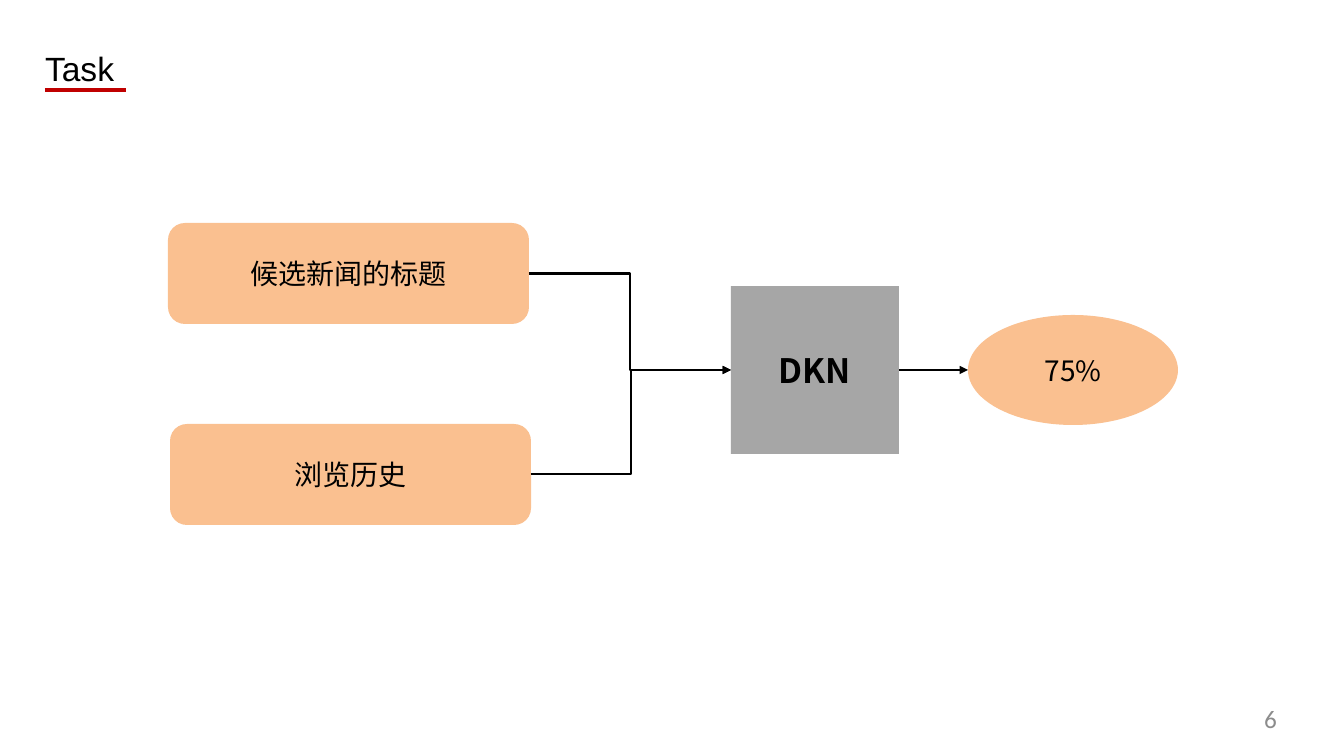
from lxml import etree
from pptx import Presentation
from pptx.dml.color import RGBColor
from pptx.enum.shapes import MSO_CONNECTOR, MSO_SHAPE
from pptx.enum.text import MSO_ANCHOR, PP_ALIGN
from pptx.oxml.ns import qn
from pptx.util import Emu, Pt

ELBOW, STRAIGHT = MSO_CONNECTOR.ELBOW, MSO_CONNECTOR.STRAIGHT
RECTANGLE, ROUNDED, OVAL = MSO_SHAPE.RECTANGLE, MSO_SHAPE.ROUNDED_RECTANGLE, MSO_SHAPE.OVAL
LEFT, CENTER, RIGHT = PP_ALIGN.LEFT, PP_ALIGN.CENTER, PP_ALIGN.RIGHT
TOP, MIDDLE = MSO_ANCHOR.TOP, MSO_ANCHOR.MIDDLE

EMU_PER_PX = 914400 / 100.8
LEFT_SITE, RIGHT_SITE = 1, 3
ORANGE, GRAY, BLACK, RED = "FAC090", "A6A6A6", "000000", "C00000"
DIAGRAM_FONT = "Noto Sans CJK SC"


def px(length):
    return Emu(round(length * EMU_PER_PX))


def color(hex_value):
    return RGBColor.from_string(hex_value)


def write(shape, text, size, font, text_color=BLACK, bold=False, align=CENTER, anchor=MIDDLE):
    frame = shape.text_frame
    frame.word_wrap = True
    frame.vertical_anchor = anchor
    frame.text = text
    paragraph = frame.paragraphs[0]
    paragraph.alignment = align
    paragraph.font.name = font
    paragraph.font.size = Pt(size)
    paragraph.font.bold = bold
    paragraph.font.color.rgb = color(text_color)
    # Chinese characters take their typeface from the run's a:ea element
    run_properties = paragraph.runs[0]._r.get_or_add_rPr()
    etree.SubElement(run_properties, qn("a:ea"), typeface=font)
    return paragraph


def clear_margins(frame):
    frame.margin_left = frame.margin_top = frame.margin_right = frame.margin_bottom = 0


def add_node(slide, preset, box, fill, text, size=20, bold=False):
    node = slide.shapes.add_shape(preset, *map(px, box))
    node.shadow.inherit = False
    node.fill.solid()
    node.fill.fore_color.rgb = color(fill)
    node.line.fill.background()
    write(node, text, size, DIAGRAM_FONT, bold=bold)
    return node


def add_line(slide, kind, start, end, line_color=BLACK, width=1.5, arrow=False):
    line = slide.shapes.add_connector(kind, *map(px, start + end))
    line.line.color.rgb = color(line_color)
    line.line.width = Pt(width)
    if arrow:
        etree.SubElement(line.line._get_or_add_ln(), qn("a:tailEnd"), type="triangle")
    etree.SubElement(line._element.spPr, qn("a:effectLst"))
    return line


def add_title(slide, text):
    title = slide.shapes.title
    title.left, title.top, title.width, title.height = map(px, (45, 47, 81, 43))
    clear_margins(title.text_frame)
    title.text_frame.margin_top = px(1)
    heading = write(title, text, 24, "Arial", align=LEFT, anchor=TOP)
    heading.space_before = Pt(1)
    add_line(slide, STRAIGHT, (45, 90), (126, 90), RED, 2.25)


def add_page_number(slide, number):
    page = slide.shapes.add_textbox(*map(px, (968, 703, 309, 38)))
    clear_margins(page.text_frame)
    write(page, number, 18, "Calibri", "8C8C8C", align=RIGHT, anchor=TOP)


def add_diagram(slide):
    model = add_node(slide, RECTANGLE, (731, 286, 168, 168), GRAY, "DKN", 24, bold=True)
    candidate = add_node(slide, ROUNDED, (168, 223, 361, 101), ORANGE, "候选新闻的标题")
    history = add_node(slide, ROUNDED, (170, 424, 361, 101), ORANGE, "浏览历史")
    add_node(slide, OVAL, (968, 315, 210, 110), ORANGE, "75%")

    for source, start in ((candidate, (529, 273)), (history, (531, 475))):
        flow = add_line(slide, ELBOW, start, (731, 370), arrow=True)
        flow.begin_connect(source, RIGHT_SITE)
        flow.end_connect(model, LEFT_SITE)
    prediction = add_line(slide, STRAIGHT, (899, 370), (968, 370), arrow=True)
    prediction.begin_connect(model, RIGHT_SITE)


def main():
    presentation = Presentation()
    presentation.slide_width, presentation.slide_height = px(1344), px(756)
    title_only = presentation.slide_layouts[5]
    slide = presentation.slides.add_slide(title_only)
    add_title(slide, "Task")
    add_diagram(slide)
    add_page_number(slide, "6")
    presentation.save("out.pptx")


if __name__ == "__main__":
    main()
